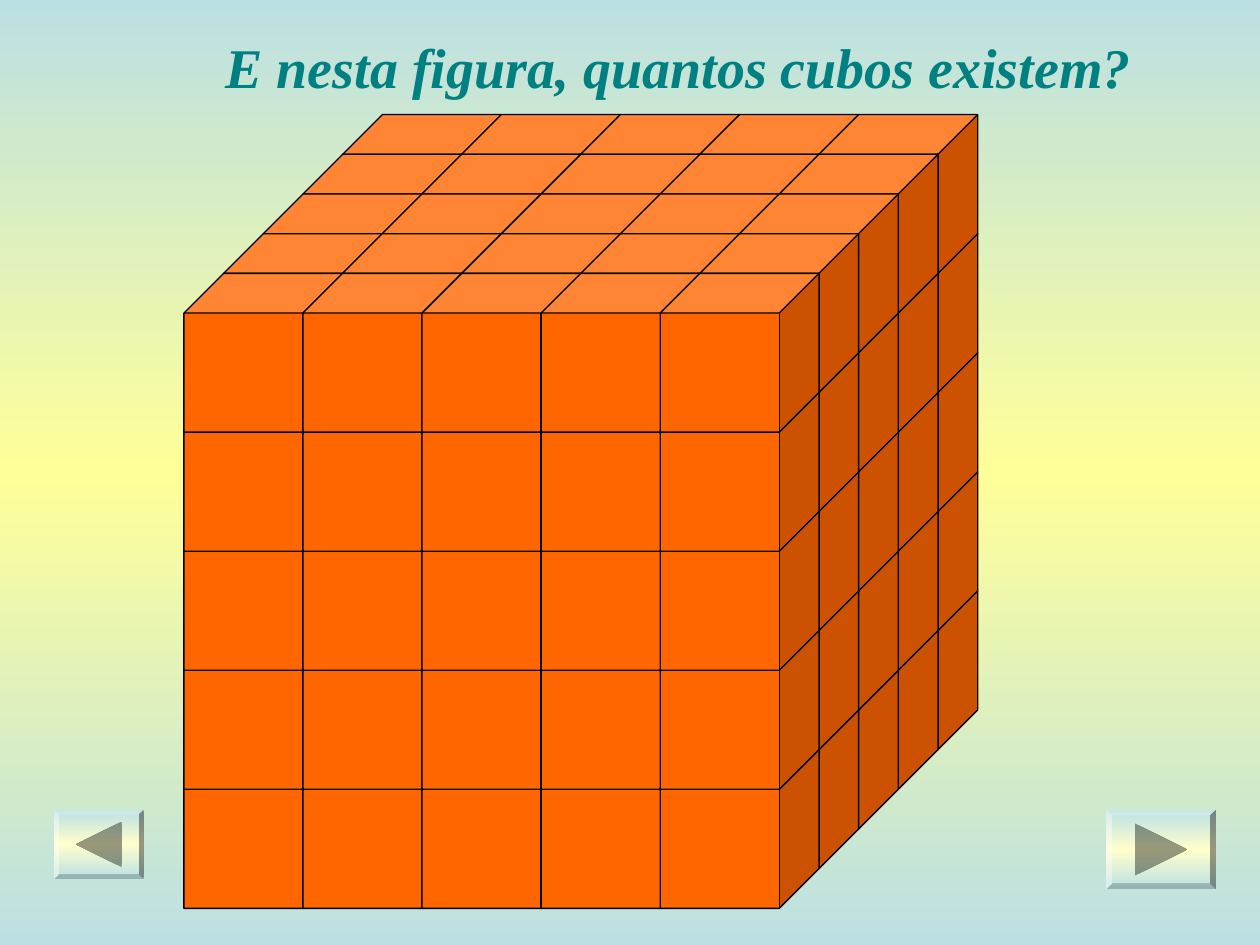
from copy import deepcopy
from dataclasses import dataclass

from pptx import Presentation
from pptx.dml.color import RGBColor
from pptx.enum.dml import MSO_THEME_COLOR
from pptx.enum.shapes import MSO_SHAPE
from pptx.enum.text import MSO_ANCHOR, MSO_AUTO_SIZE, PP_ALIGN
from pptx.oxml.ns import qn
from pptx.util import Inches, Pt

WIDE, HIGH = Inches(10), Inches(7.5)
SIDE = 5
CUBE = Inches(1.26)
CELL = CUBE * 0.75
STEP = CUBE * 0.25
LEFT, TOP = Inches(1.46), Inches(2.17)


@dataclass
class Box:
    x: float
    y: float
    w: float
    h: float

    def place(self) -> tuple[int, int, int, int]:
        return (int(self.x * WIDE), int(self.y * HIGH),
                int(self.w * WIDE), int(self.h * HIGH))


@dataclass
class Button:
    box: Box
    sign: int


@dataclass
class Cube:
    col: int
    depth: int
    level: int

    def shows(self) -> bool:
        return self.col == SIDE - 1 or self.depth == 0 or self.level == 0


def color(code: str) -> RGBColor:
    return RGBColor.from_string(code)


def blend(fill, root, edge: str, mid: str) -> None:
    fill.gradient()
    fill.gradient_angle = 90
    stops = root.find(".//" + qn("a:gsLst"))
    stops.insert(1, deepcopy(stops[0]))
    for stop, spot, code in zip(fill.gradient_stops, (0, 0.5, 1), (edge, mid, edge)):
        stop.color.theme_color = MSO_THEME_COLOR.ACCENT_1
        stop.color.rgb = color(code)
        stop.position = spot


def write(shape, text: str, *, font: str, size: float, code: str,
          bold: bool = False, slant: bool = False) -> None:
    frame = shape.text_frame
    frame.word_wrap = True
    frame.auto_size = MSO_AUTO_SIZE.NONE
    frame.vertical_anchor = MSO_ANCHOR.TOP
    para = frame.paragraphs[0]
    para.alignment = PP_ALIGN.LEFT
    run = para.add_run()
    run.text = text
    run.font.name, run.font.size = font, Pt(size)
    run.font.bold, run.font.italic = bold, slant
    run.font.color.rgb = color(code)


def draw_cube(group, cube: Cube) -> None:
    x = LEFT + cube.col * CELL + cube.depth * STEP
    y = TOP + cube.level * CELL - cube.depth * STEP
    shape = group.shapes.add_shape(MSO_SHAPE.CUBE, int(x), int(y), CUBE, CUBE)
    shape.shadow.inherit = False
    shape.adjustments[0] = 0.25
    shape.fill.solid()
    shape.fill.fore_color.rgb = color("FF6600")
    shape.line.color.rgb = color("000000")
    shape.line.width = Pt(0.75)


def draw_button(slide, button: Button) -> None:
    x, y, w, h = button.box.place()
    frame = slide.shapes.add_shape(MSO_SHAPE.BEVEL, x, y, w, h)
    frame.adjustments[0] = 0.07
    mid, level = x + w // 2, y + h // 2
    half = int(h * 0.33)
    base, tip = mid - button.sign * half, mid + button.sign * half
    path = slide.shapes.build_freeform(base, level - half)
    path.add_line_segments([(tip, level), (base, level + half)])
    arrow = path.convert_to_shape()
    for shape, edge, core in ((frame, "BBE0E3", "FFFFCC"), (arrow, "7D9085", "999979")):
        shape.shadow.inherit = False
        shape.line.fill.background()
        blend(shape.fill, shape.element, edge, core)


def main() -> None:
    deck = Presentation()
    deck.slide_width, deck.slide_height = WIDE, HIGH
    slide = deck.slides.add_slide(deck.slide_layouts[5])
    blend(slide.background.fill, slide.element, "BBE0E3", "FFFF99")

    title = slide.shapes.title
    title.left, title.top, title.width, title.height = Box(0.169, 0.028, 0.795, 0.085).place()
    write(title, "E nesta figura, quantos cubos existem?", font="Times New Roman",
          size=32, code="008080", bold=True, slant=True)

    group = slide.shapes.add_group_shape()
    for level in reversed(range(SIDE)):
        for depth in reversed(range(SIDE)):
            for col in range(SIDE):
                cube = Cube(col, depth, level)
                if cube.shows():
                    draw_cube(group, cube)

    for button in (Button(Box(0.878, 0.857, 0.087, 0.084), 1),
                   Button(Box(0.043, 0.857, 0.071, 0.073), -1)):
        draw_button(slide, button)
    deck.save("out.pptx")


if __name__ == "__main__":
    main()
